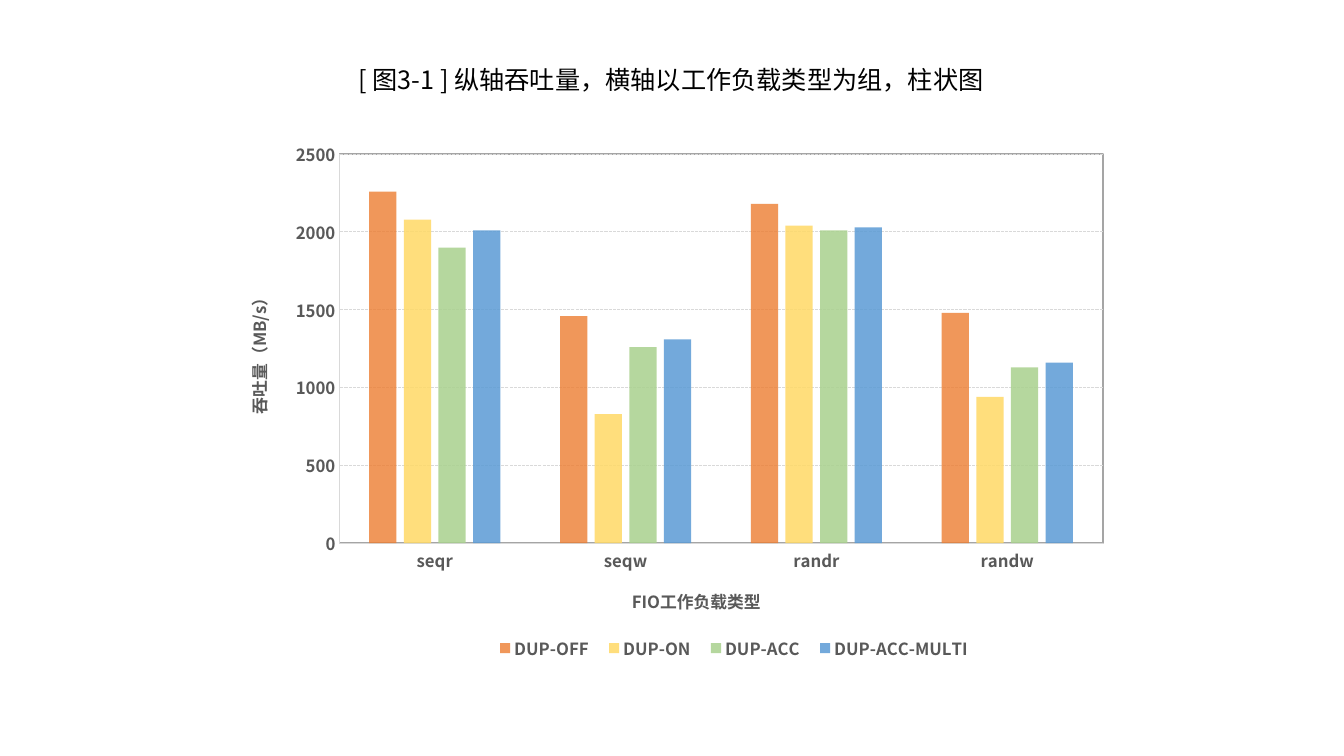
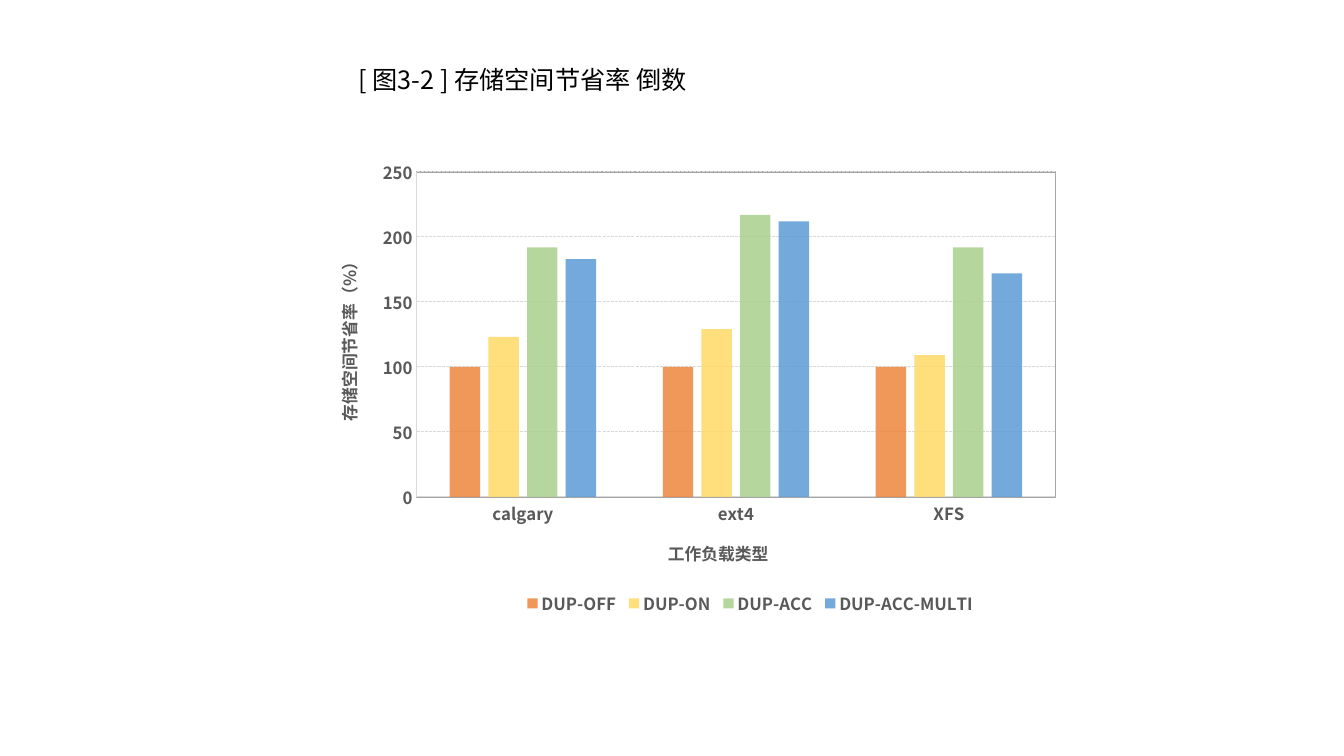
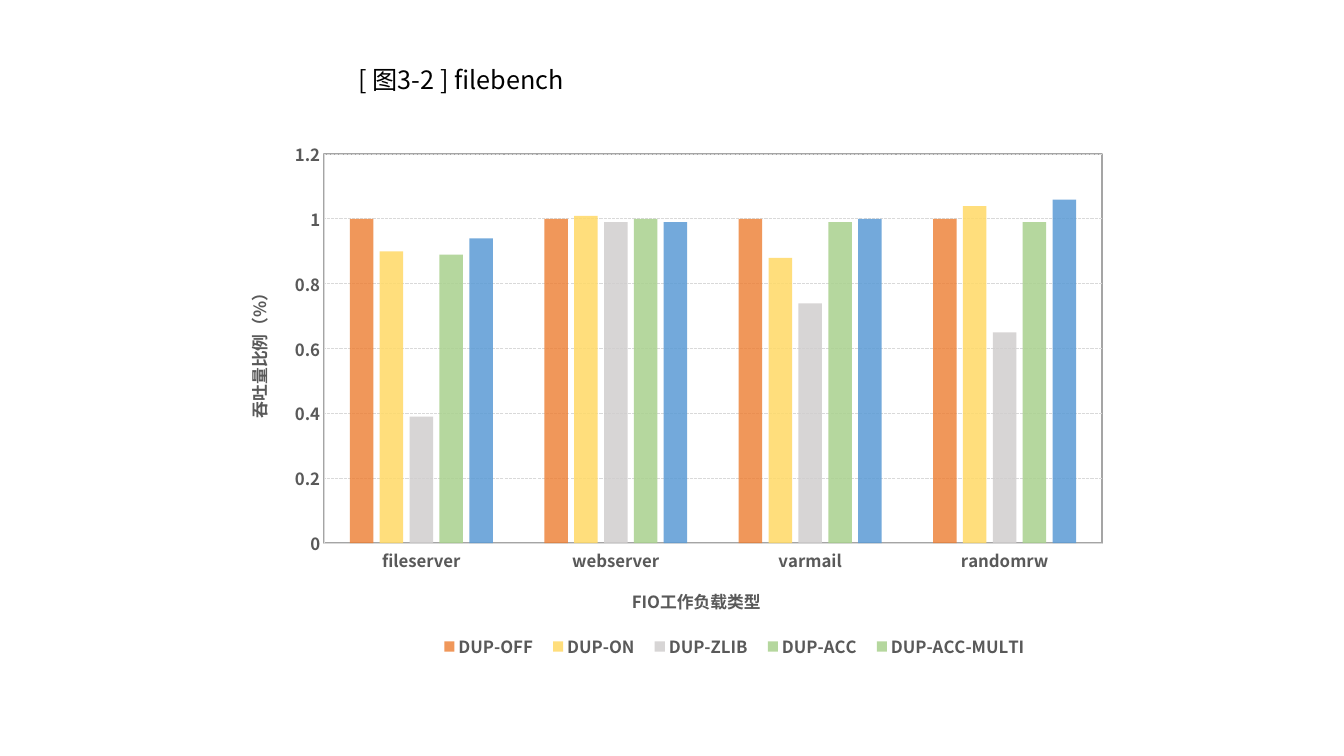
from lxml import etree
from pptx import Presentation
from pptx.chart.data import CategoryChartData
from pptx.dml.color import RGBColor
from pptx.enum.chart import XL_CHART_TYPE, XL_LEGEND_POSITION, XL_TICK_MARK
from pptx.enum.dml import MSO_LINE
from pptx.enum.text import MSO_ANCHOR, MSO_AUTO_SIZE, PP_ALIGN
from pptx.oxml import parse_xml
from pptx.oxml.ns import nsdecls, qn
from pptx.util import Cm, Pt

COLUMNS = XL_CHART_TYPE.COLUMN_CLUSTERED
BOTTOM = XL_LEGEND_POSITION.BOTTOM
NO_TICK = XL_TICK_MARK.NONE
DASH = MSO_LINE.SQUARE_DOT
TOP = MSO_ANCHOR.TOP
LEFT = PP_ALIGN.LEFT
GROW = MSO_AUTO_SIZE.SHAPE_TO_FIT_TEXT

FONT = "Noto Sans CJK SC"
BLACK, TEXT, GRID, FRAME = "000000", "595959", "D9D9D9", "A5A5A5"
ORANGE, YELLOW, GRAY = "ED7D31", "FFD966", "D0CECE"
GREEN, BLUE = "A9D18E", "5B9BD5"
WIDE_BOX = (5.64, 3.28, 22.58, 13.77)
SMALL_BOX = (7.9, 3.78, 19.08, 12.04)


def rgb(value):
    return RGBColor.from_string(value)


def style_font(font, size=12, color=TEXT, bold=True):
    font.size, font.bold, font.name = Pt(size), bold, FONT
    font.color.rgb = rgb(color)
    etree.SubElement(font._rPr, qn("a:ea")).set("typeface", FONT)


def write(tf, text, **fmt):
    p = tf.paragraphs[0]
    r = p.add_run()
    r.text = text
    style_font(r.font, **fmt)
    return p


def add_title(s, text):
    title = s.shapes.title
    title.left, title.top, title.width, title.height = map(Cm, (8.78, 1.5, 19.46, 1.02))
    tf = title.text_frame
    tf.word_wrap, tf.vertical_anchor, tf.auto_size = True, TOP, GROW
    p = write(tf, text, size=18, color=BLACK, bold=False)
    p.alignment, p.line_spacing = LEFT, 1.0


def place(element, index, x, y, w=None, h=None, inner=False):
    for old in element.findall(qn("c:layout")):
        element.remove(old)
    layout = parse_xml(f'<c:layout {nsdecls("c")}><c:manualLayout/></c:layout>')
    settings = [("layoutTarget", "inner")] if inner else []
    settings += [("xMode", "edge"), ("yMode", "edge")]
    percents = (("x", x), ("y", y), ("w", w), ("h", h))
    settings += [(tag, f"{v / 100:.3f}") for tag, v in percents if v is not None]
    for tag, value in settings:
        etree.SubElement(layout[0], qn(f"c:{tag}")).set("val", value)
    element.insert(index, layout)


def style_line(line, color):
    line.color.rgb = rgb(color)
    line.width = Pt(0.75)


def style_axis(axis, title, position):
    axis.major_tick_mark = axis.minor_tick_mark = NO_TICK
    style_font(axis.tick_labels.font)
    style_line(axis.format.line, GRID)
    tf = axis.axis_title.text_frame
    write(tf, title)
    place(axis.axis_title._element, 1, *position)
    return tf


def style_value_axis(axis, title, position, top, step):
    tf = style_axis(axis, title, position)
    body = tf._txBody.bodyPr
    body.set("rot", "-5400000")
    body.set("vert", "horz")
    axis.minimum_scale, axis.maximum_scale, axis.major_unit = 0, top, step
    axis.tick_labels.number_format = "General"
    axis.tick_labels.number_format_is_linked = False
    axis.has_major_gridlines = True
    style_line(axis.major_gridlines.format.line, GRID)
    axis.major_gridlines.format.line.dash_style = DASH


def fill_bar(bar, color):
    fill = bar.format.fill
    fill.solid()
    fill.fore_color.rgb = rgb(color)
    opacity = 80000 if color == ORANGE else 85000
    clr = bar.format.fill._xPr.find(f'.//{qn("a:srgbClr")}')
    etree.SubElement(clr, qn("a:alpha")).set("val", str(opacity))


def frame_plot(plot_area):
    plot_area.append(parse_xml(
        f'<c:spPr {nsdecls("c", "a")}><a:noFill/><a:ln w="15875"><a:solidFill>'
        f'<a:srgbClr val="{FRAME}"/></a:solidFill></a:ln></c:spPr>'))


def add_chart(s, box, categories, series, plot_at, cat_title, cat_at,
              val_title, val_at, scale, legend_at):
    data = CategoryChartData()
    data.categories = categories
    for name, _, values in series:
        data.add_series(name, values)
    chart = s.shapes.add_chart(COLUMNS, *map(Cm, box), data).chart
    chart.has_title = False
    style_font(chart.font, size=10, color=BLACK, bold=False)
    plot = chart.plots[0]
    plot.gap_width, plot.overlap, plot.vary_by_categories = 219, -27, False
    for bars, (_, color, _) in zip(plot.series, series):
        bars.invert_if_negative = False
        fill_bar(bars, color)
    style_axis(chart.category_axis, cat_title, cat_at)
    style_value_axis(chart.value_axis, val_title, val_at, *scale)
    plot_area = plot._element.getparent()
    place(plot_area, 0, *plot_at, inner=True)
    frame_plot(plot_area)
    chart.has_legend = True
    legend = chart.legend
    legend.position, legend.include_in_layout = BOTTOM, False
    style_font(legend.font)
    place(legend._element, 1, *legend_at)
    return chart


def add_throughput(prs):
    s = prs.slides.add_slide(prs.slide_layouts[5])
    add_chart(
        s, WIDE_BOX, ["seqr", "seqw", "randr", "randw"],
        [("DUP-OFF", ORANGE, (2260, 1460, 2180, 1480)),
         ("DUP-ON", YELLOW, (2080, 830, 2040, 940)),
         ("DUP-ACC", GREEN, (1900, 1260, 2010, 1130)),
         ("DUP-ACC-MULTI", BLUE, (2010, 1310, 2030, 1160))],
        plot_at=(12.9, 4.4, 85.2, 71.2),
        cat_title="FIO工作负载类型", cat_at=(45.2, 82.9),
        val_title="吞吐量（MB/s）", val_at=(2, 28.6),
        scale=(2500, 500), legend_at=(29.2, 92.3, 55.5, 5))
    add_title(s, "[ 图3-1 ] 纵轴吞吐量，横轴以工作负载类型为组，柱状图")


def add_space_saving(prs):
    s = prs.slides.add_slide(prs.slide_layouts[5])
    add_chart(
        s, SMALL_BOX, ["calgary", "ext4", "XFS"],
        [("DUP-OFF", ORANGE, (100, 100, 100)),
         ("DUP-ON", YELLOW, (123, 129, 109)),
         ("DUP-ACC", GREEN, (192, 217, 192)),
         ("DUP-ACC-MULTI", BLUE, (183, 212, 172))],
        plot_at=(13.6, 4.6, 84.4, 68),
        cat_title="工作负载类型", cat_at=(46.4, 80.6),
        val_title="存储空间节省率（%）", val_at=(2.4, 21.1),
        scale=(250, 50), legend_at=(27.3, 91.9, 60.8, 6))
    add_title(s, "[ 图3-2 ] 存储空间节省率 倒数")


def add_filebench(prs):
    s = prs.slides.add_slide(prs.slide_layouts[5])
    chart = add_chart(
        s, WIDE_BOX, ["fileserver", "webserver", "varmail", "randomrw"],
        [("DUP-OFF", ORANGE, (1, 1, 1, 1)),
         ("DUP-ON", YELLOW, (0.9, 1.01, 0.88, 1.04)),
         ("DUP-ZLIB", GRAY, (0.39, 0.99, 0.74, 0.65)),
         ("DUP-ACC", GREEN, (0.89, 1, 0.99, 0.99)),
         ("DUP-ACC-MULTI", GREEN, (0.94, 0.99, 1, 1.06))],
        plot_at=(11.2, 4.4, 86.8, 71.2),
        cat_title="FIO工作负载类型", cat_at=(45.2, 82.9),
        val_title="吞吐量比例（%）", val_at=(2, 27.7),
        scale=(1.2, 0.2), legend_at=(23, 92, 68, 5))
    multi = chart.plots[0].series[4]
    for i in range(len(multi.values)):
        fill_bar(multi.points[i], BLUE)
    add_title(s, "[ 图3-2 ] filebench")


def main():
    prs = Presentation()
    prs.slide_width, prs.slide_height = Cm(33.87), Cm(19.05)
    add_throughput(prs)
    add_space_saving(prs)
    add_filebench(prs)
    prs.save("out.pptx")


main()
